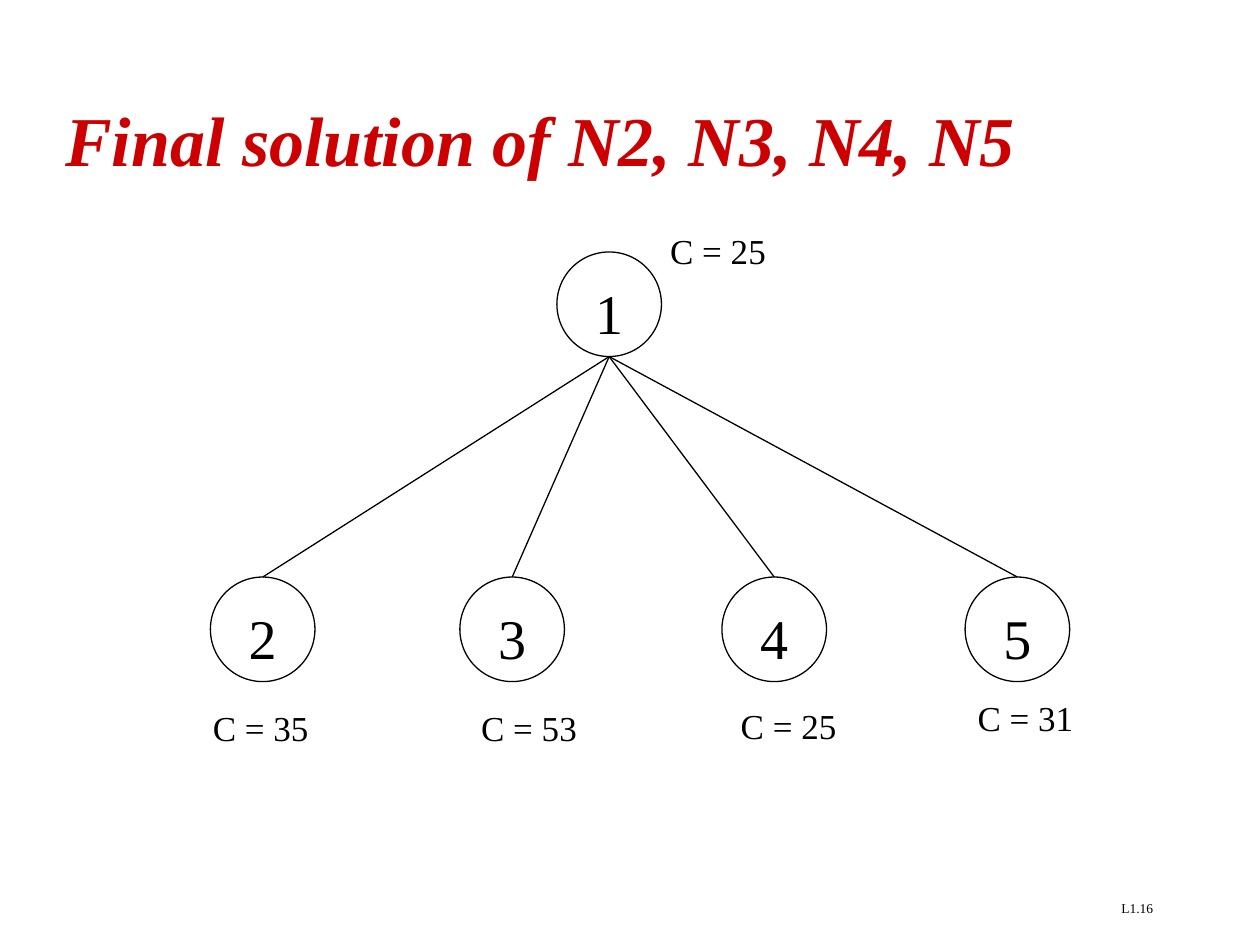
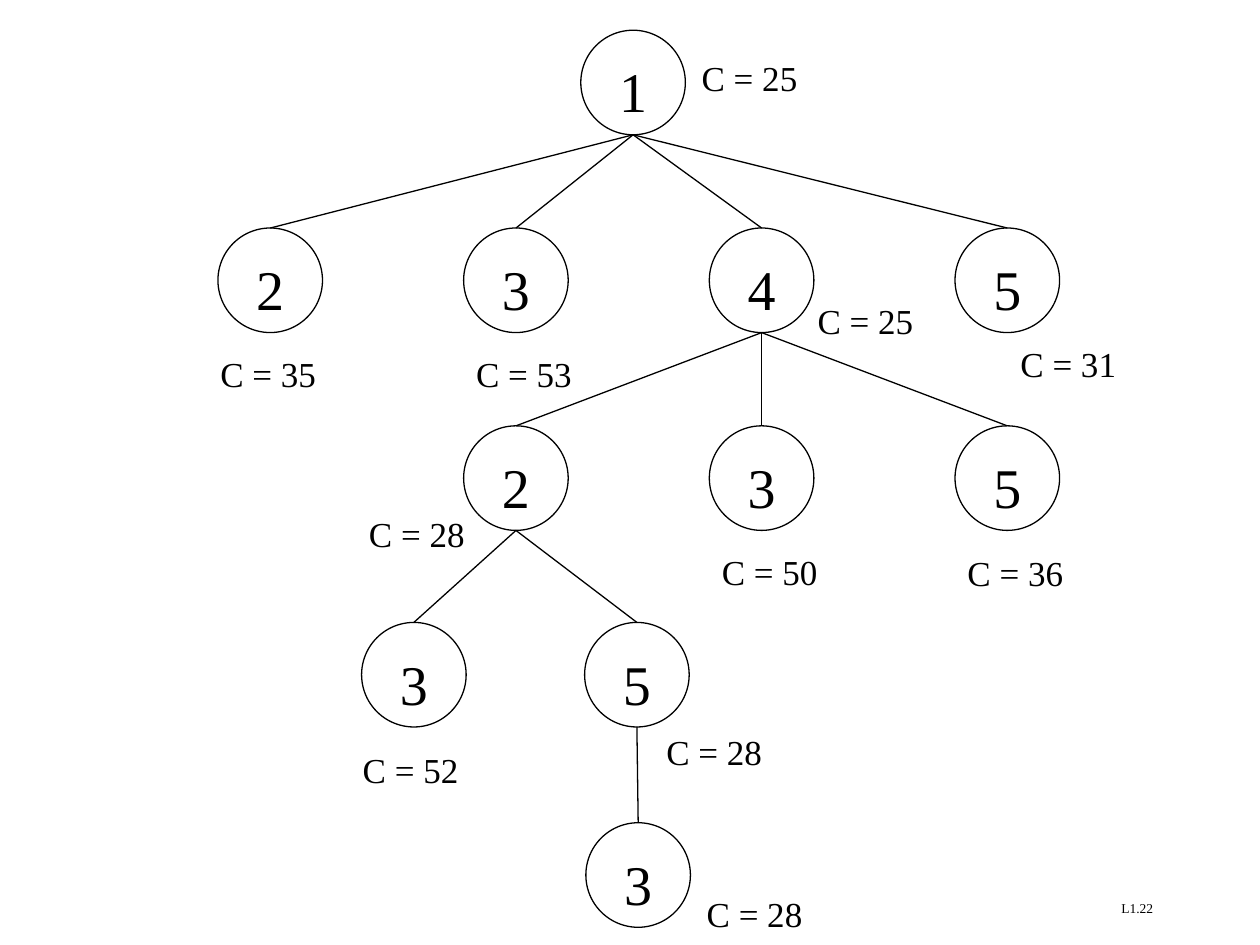
from dataclasses import dataclass
from typing import Optional

import pptx
import pptx.dml.color
import pptx.enum.shapes
import pptx.enum.text
import pptx.oxml.ns
import pptx.presentation
import pptx.shapes.autoshape
import pptx.slide
import pptx.text.text
import pptx.util
from lxml import etree

Inches = pptx.util.Inches
Align = pptx.enum.text.PP_ALIGN
Anchor = pptx.enum.text.MSO_ANCHOR

BLACK = pptx.dml.color.RGBColor(0x00, 0x00, 0x00)
RED = pptx.dml.color.RGBColor(0xCC, 0x00, 0x00)
FONT = "Times New Roman"

DIAMETER = 0.83
LABEL_WIDTH, LABEL_HEIGHT = 0.98, 0.44
LINE_WIDTH = pptx.util.Pt(0.75)
ELLIPSE_BOTTOM = 4  # an ellipse has eight connection sites

# Grid of the full search tree
COLUMNS = [1.73 + 1.95 * column for column in range(4)]
LEVELS = [0.24, 1.81, 3.38, 4.94, 6.53]


@dataclass(frozen=True)
class Node:
    """A tree node; parent is the index of its parent in the tree's list."""

    vertex: int
    left: float
    top: float
    cost: int
    cost_left: float
    cost_top: float
    parent: Optional[int] = None


FIRST_LEVEL_TREE = [
    Node(1, 4.42, 2, 25, 5.22, 1.74),
    Node(2, 1.67, 4.58, 35, 1.59, 5.53, 0),
    Node(3, 3.65, 4.58, 53, 3.72, 5.53, 0),
    Node(4, 5.73, 4.58, 25, 5.78, 5.51, 0),
    Node(5, 7.66, 4.58, 31, 7.66, 5.45, 0),
]

FULL_TREE = [
    Node(1, 4.61, LEVELS[0], 25, 5.47, 0.37),
    Node(2, COLUMNS[0], LEVELS[1], 35, 1.65, 2.72, 0),
    Node(3, COLUMNS[1], LEVELS[1], 53, 3.68, 2.72, 0),
    Node(4, COLUMNS[2], LEVELS[1], 25, 6.39, 2.3, 0),
    Node(5, COLUMNS[3], LEVELS[1], 31, 8, 2.64, 0),
    Node(2, COLUMNS[1], LEVELS[2], 28, 2.83, 3.99, 3),
    Node(3, COLUMNS[2], LEVELS[2], 50, 5.63, 4.29, 3),
    Node(5, COLUMNS[3], LEVELS[2], 36, 7.58, 4.3, 3),
    Node(3, 2.87, LEVELS[3], 52, 2.78, 5.86, 5),
    Node(5, 4.64, LEVELS[3], 28, 5.19, 5.72, 5),
    Node(3, 4.65, LEVELS[4], 28, 5.51, 7, 9),
]


def write(
    frame: pptx.text.text.TextFrame,
    text: str,
    size: float,
    color: pptx.dml.color.RGBColor = BLACK,
    align: Align = Align.LEFT,
    anchor: Anchor = Anchor.TOP,
    inset_top: float = 0.08,
) -> pptx.text.text.Font:
    frame.word_wrap = True
    frame.vertical_anchor = anchor
    frame.margin_left = frame.margin_right = Inches(0.1)
    frame.margin_top, frame.margin_bottom = Inches(inset_top), Inches(0.05)
    paragraph = frame.paragraphs[0]
    paragraph.text = text
    paragraph.alignment = align
    font = paragraph.font
    font.name, font.size, font.color.rgb = FONT, pptx.util.Pt(size), color
    return font


def add_text_frame(
    slide: pptx.slide.Slide, left: float, top: float, width: float, height: float
) -> pptx.text.text.TextFrame:
    box = slide.shapes.add_textbox(Inches(left), Inches(top), Inches(width), Inches(height))
    return box.text_frame


def add_title(slide: pptx.slide.Slide, title: str) -> None:
    frame = add_text_frame(slide, 0.42, 0.42, 9.33, 1.25)
    font = write(frame, title, 40, RED, anchor=Anchor.MIDDLE, inset_top=0.15)
    font.bold = font.italic = True


def add_page_number(slide: pptx.slide.Slide, page: str) -> None:
    frame = add_text_frame(slide, 7.17, 7.08, 2.08, 0.25)
    write(frame, page, 7.7, align=Align.RIGHT, inset_top=0.06)


def add_circle(slide: pptx.slide.Slide, node: Node) -> pptx.shapes.autoshape.Shape:
    circle = slide.shapes.add_shape(
        pptx.enum.shapes.MSO_SHAPE.OVAL,
        Inches(node.left), Inches(node.top), Inches(DIAMETER), Inches(DIAMETER),
    )
    circle.shadow.inherit = False
    circle.fill.background()
    circle.line.color.rgb = BLACK
    circle.line.width = LINE_WIDTH
    write(circle.text_frame, str(node.vertex), 32, align=Align.CENTER, inset_top=0.09)
    return circle


def add_branch(
    slide: pptx.slide.Slide,
    parent: pptx.shapes.autoshape.Shape,
    child: pptx.shapes.autoshape.Shape,
) -> None:
    """Join the bottom of the parent circle to the top of the child circle."""
    branch = slide.shapes.add_connector(
        pptx.enum.shapes.MSO_CONNECTOR.STRAIGHT,
        parent.left + parent.width // 2, parent.top + parent.height,
        child.left + child.width // 2, child.top,
    )
    qn = pptx.oxml.ns.qn
    # begin_connect only knows sites 0 to 3
    joints = branch._element.find(".//" + qn("p:cNvCxnSpPr"))
    etree.SubElement(
        joints, qn("a:stCxn"), id=str(parent.shape_id), idx=str(ELLIPSE_BOTTOM)
    )
    branch.end_connect(child, 0)
    branch.line.color.rgb = BLACK
    branch.line.width = LINE_WIDTH
    etree.SubElement(branch._element.spPr, qn("a:effectLst"))


def add_tree(slide: pptx.slide.Slide, nodes: list[Node]) -> None:
    circles = [add_circle(slide, node) for node in nodes]
    for node, circle in zip(nodes, circles):
        if node.parent is not None:
            add_branch(slide, circles[node.parent], circle)
    for node in nodes:
        frame = add_text_frame(
            slide, node.cost_left, node.cost_top, LABEL_WIDTH, LABEL_HEIGHT
        )
        write(frame, f"C = {node.cost}", 20)


def add_tree_slide(
    deck: pptx.presentation.Presentation,
    page: str,
    nodes: list[Node],
    title: Optional[str] = None,
) -> None:
    slide = deck.slides.add_slide(deck.slide_layouts[6])
    add_page_number(slide, page)
    if title:
        add_title(slide, title)
    add_tree(slide, nodes)


def main() -> None:
    deck = pptx.Presentation()
    deck.slide_width, deck.slide_height = Inches(10), Inches(7.5)
    add_tree_slide(deck, "L1.16", FIRST_LEVEL_TREE, "Final solution of N2, N3, N4, N5")
    add_tree_slide(deck, "L1.22", FULL_TREE)
    deck.save("out.pptx")


if __name__ == "__main__":
    main()
